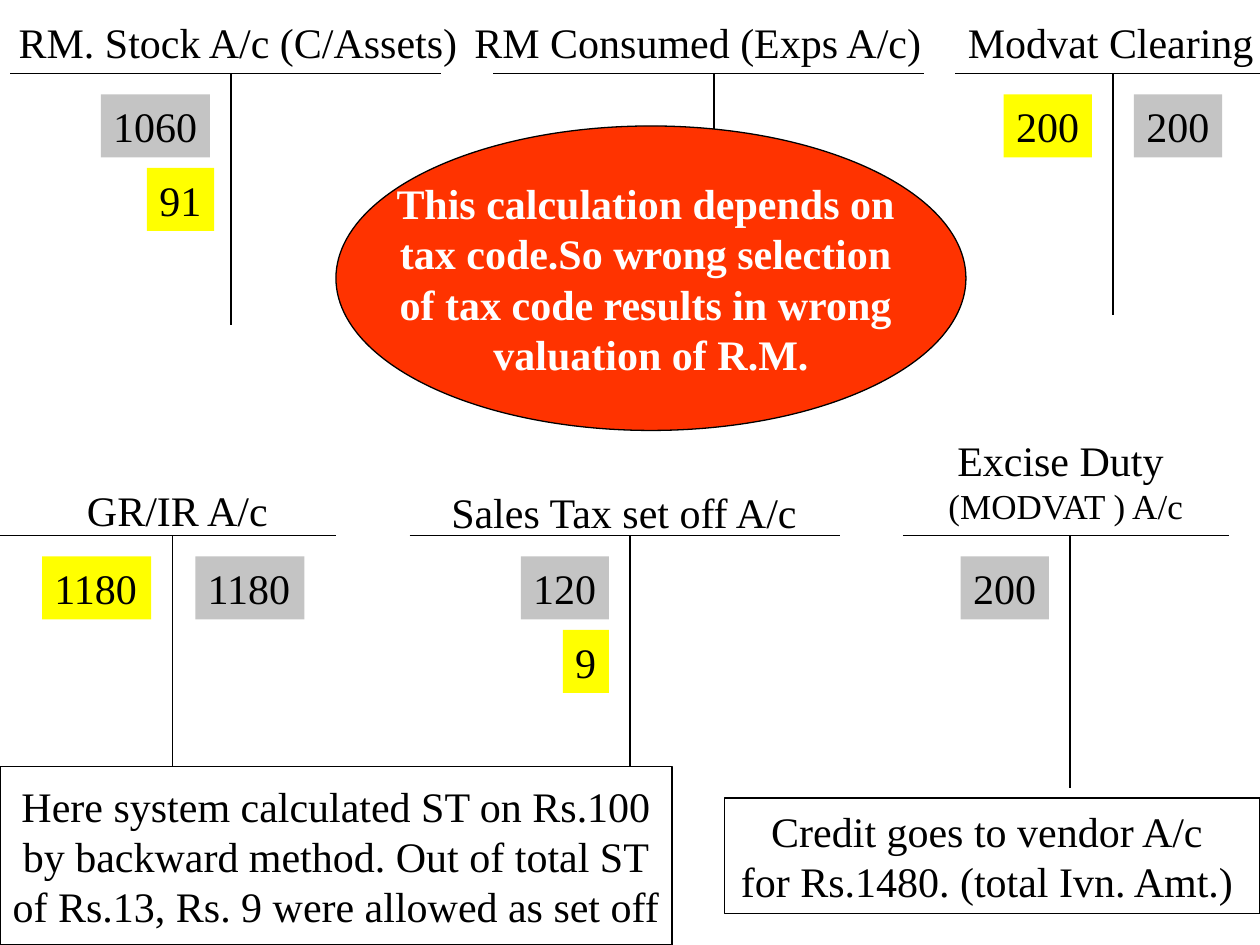
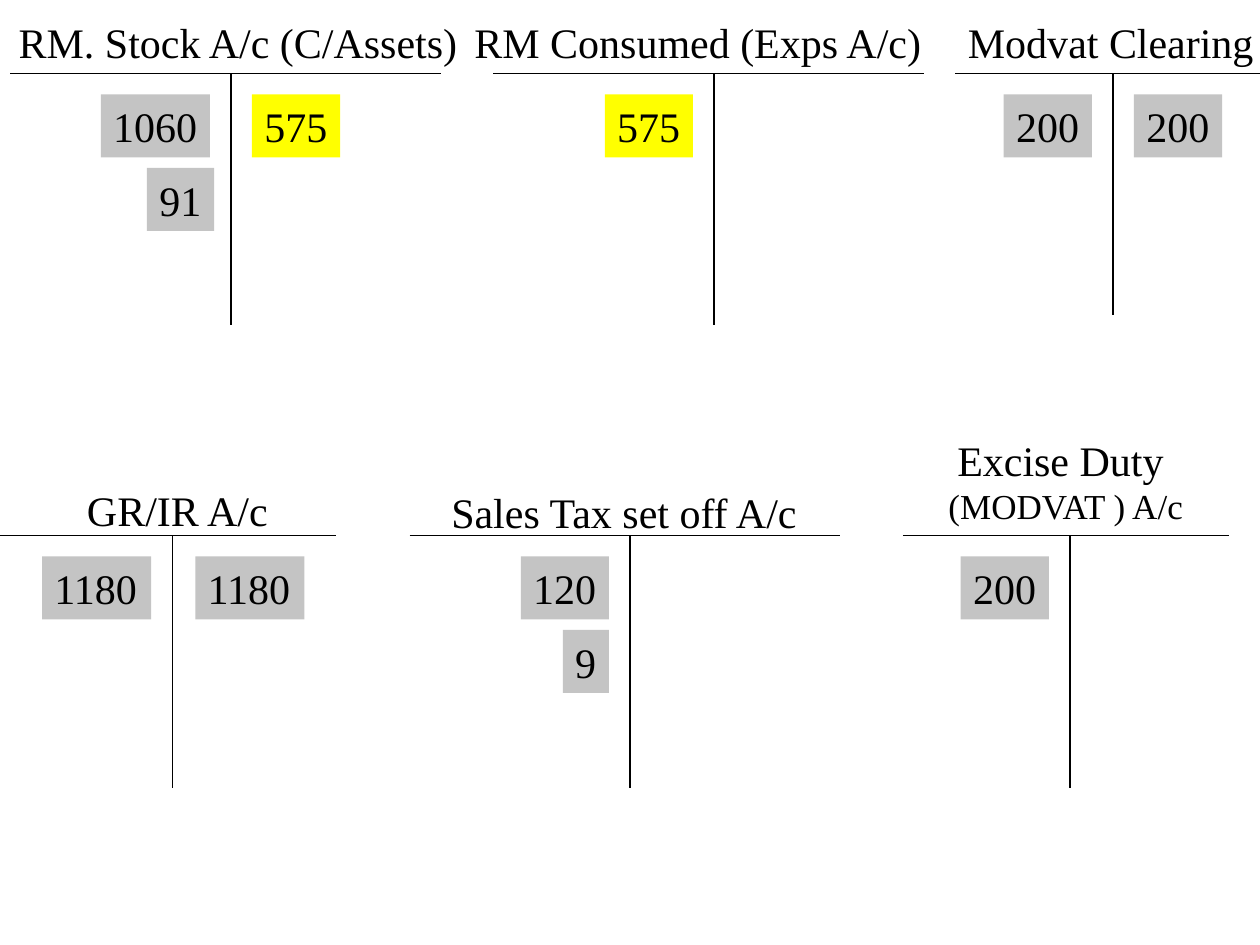
from collections import namedtuple

from lxml.etree import SubElement
from pptx import Presentation
from pptx.dml.color import RGBColor as Rgb
from pptx.enum.shapes import MSO_CONNECTOR as Link, MSO_SHAPE as Kind
from pptx.enum.text import MSO_ANCHOR as Anchor, MSO_AUTO_SIZE as Fit, PP_ALIGN as Align
from pptx.oxml.ns import qn
from pptx.util import Inches, Pt

COLS, ROWS = 120, 90
FONT = "Times New Roman"
COLORS = {
    "ink": "000000",
    "paper": "FFFFFF",
    "old": "C4C4C4",
    "new": "FFFF00",
    "alert": "FF3300",
}

# title: lines of text, box: left, top, width, height of the title,
# bar: left, right, top of the rule, stem: x and length of the upright.
Ledger = namedtuple("Ledger", "title box bar stem debit credit")
# step: the slide on which the sum is booked, gap: distance from the stem.
Entry = namedtuple("Entry", "sum step gap", defaults=(0, 2))

LEDGERS = [
    Ledger(["RM. Stock A/c (C/Assets)"], (0.6, 1, 44.4, 6), (1, 42, 7), (22, 24),
           [Entry("1060"), Entry("91", 1, 1.6)], [Entry("575", 2)]),
    Ledger(["RM Consumed (Exps A/c)"], (44, 1, 45.1, 6), (47, 88, 7), (68, 24),
           [Entry("575", 2)], []),
    Ledger(["Modvat Clearing"], (91, 1, 29.6, 6), (91, 120, 7), (106, 23),
           [Entry("200", 1)], [Entry("200")]),
    Ledger(["GR/IR A/c"], (7.1, 45.6, 19.8, 6), (0, 32, 51), (16.4, 24),
           [Entry("1180", 1)], [Entry("1180", 0, 2.2)]),
    Ledger(["Sales Tax set off A/c"], (41.8, 45.75, 35.9, 6), (39, 80, 51), (60, 24),
           [Entry("120"), Entry("9", 1)], []),
    Ledger(["Excise Duty ", "(MODVAT ) A/c"], (86, 40.8, 31, 10.1), (86, 117, 51),
           (101.9, 24), [Entry("200")], []),
]


def write(shape, lines, sizes=(24,), color="ink", bold=False, align=Align.LEFT,
          anchor=Anchor.TOP, wrap=False, fit=Fit.NONE):
    """Fill a shape with one paragraph per line; the last size repeats."""
    frame = shape.text_frame
    frame.word_wrap, frame.auto_size = wrap, fit
    frame.vertical_anchor = anchor
    for i, line in enumerate(lines):
        para = frame.add_paragraph() if i else frame.paragraphs[0]
        para.alignment = align
        run = para.add_run()
        run.text = line
        font = run.font
        font.name, font.bold = FONT, bold
        font.size = Pt(sizes[min(i, len(sizes) - 1)])
        font.color.rgb = Rgb.from_string(COLORS[color])


class Board:
    """Draws on the current slide, measured in columns and rows."""

    def __init__(self):
        self.deck = Presentation()
        self.deck.slide_width, self.deck.slide_height = Inches(10), Inches(7.5)
        self.slide = None

    def page(self):
        self.slide = self.deck.slides.add_slide(self.deck.slide_layouts[6])

    def spot(self, x, y):
        return (round(self.deck.slide_width * x / COLS),
                round(self.deck.slide_height * y / ROWS))

    def line(self, x1, y1, x2, y2):
        link = self.slide.shapes.add_connector(
            Link.STRAIGHT, *self.spot(x1, y1), *self.spot(x2, y2))
        link.line.width = Pt(0.75)
        link.line.color.rgb = Rgb.from_string(COLORS["ink"])
        SubElement(link._element.spPr, qn("a:effectLst"))

    def label(self, box, lines, **style):
        area = self.spot(*box[:2]) + self.spot(*box[2:])
        write(self.slide.shapes.add_textbox(*area), lines, **style)

    def block(self, box, lines, fill, kind=Kind.RECTANGLE, edge=False, **style):
        area = self.spot(*box[:2]) + self.spot(*box[2:])
        shape = self.slide.shapes.add_shape(kind, *area)
        shape.shadow.inherit = False
        shape.fill.solid()
        shape.fill.fore_color.rgb = Rgb.from_string(COLORS[fill])
        if edge:
            shape.line.width = Pt(0.75)
            shape.line.color.rgb = Rgb.from_string(COLORS["ink"])
        else:
            shape.line.fill.background()
        write(shape, lines, **style)

    def note(self, box, lines, fill="paper", **style):
        self.block(box, lines, fill, edge=True, align=Align.CENTER,
                   anchor=Anchor.MIDDLE, **style)

    def side(self, ledger, entries, step, debit):
        """Stack the sums booked so far on one side of the stem."""
        for row, entry in enumerate(entries):
            if entry.step > step:
                continue
            width = 2.4 + 2 * len(entry.sum)
            x = ledger.stem[0] + (-entry.gap - width if debit else entry.gap)
            y = ledger.bar[2] + 2 + 7 * row
            fill = "new" if entry.step == step else "old"
            self.block((x, y, width, 6), [entry.sum], fill, fit=Fit.SHAPE_TO_FIT_TEXT)

    def ledger(self, ledger, step):
        left, right, top = ledger.bar
        stem, depth = ledger.stem
        self.line(left, top, right, top)
        self.line(stem, top, stem, top + depth)
        many = len(ledger.title) > 1
        self.label(ledger.box, ledger.title, sizes=(24, 20), wrap=many,
                   align=Align.CENTER if many else Align.LEFT,
                   fit=Fit.SHAPE_TO_FIT_TEXT)
        self.side(ledger, ledger.debit, step, True)
        self.side(ledger, ledger.credit, step, False)


def main():
    board = Board()
    for step in (1, 2):
        board.page()
        for ledger in LEDGERS:
            board.ledger(ledger, step)
        if step == 1:
            board.note((69, 76, 51, 11),
                       ["Credit goes to vendor A/c ", "for Rs.1480. (total Ivn. Amt.) "])
            board.note((0, 73, 64, 17),
                       ["Here system calculated ST on Rs.100",
                        "by backward method. Out of total ST",
                        "of Rs.13, Rs. 9 were allowed as set off"])
            board.note((32, 12, 60, 29),
                       ["This calculation depends on ", "tax code.So wrong selection ",
                        "of tax code results in wrong ", "valuation of R.M."],
                       fill="alert", kind=Kind.OVAL, color="paper", bold=True)
    board.deck.save("out.pptx")


if __name__ == "__main__":
    main()
